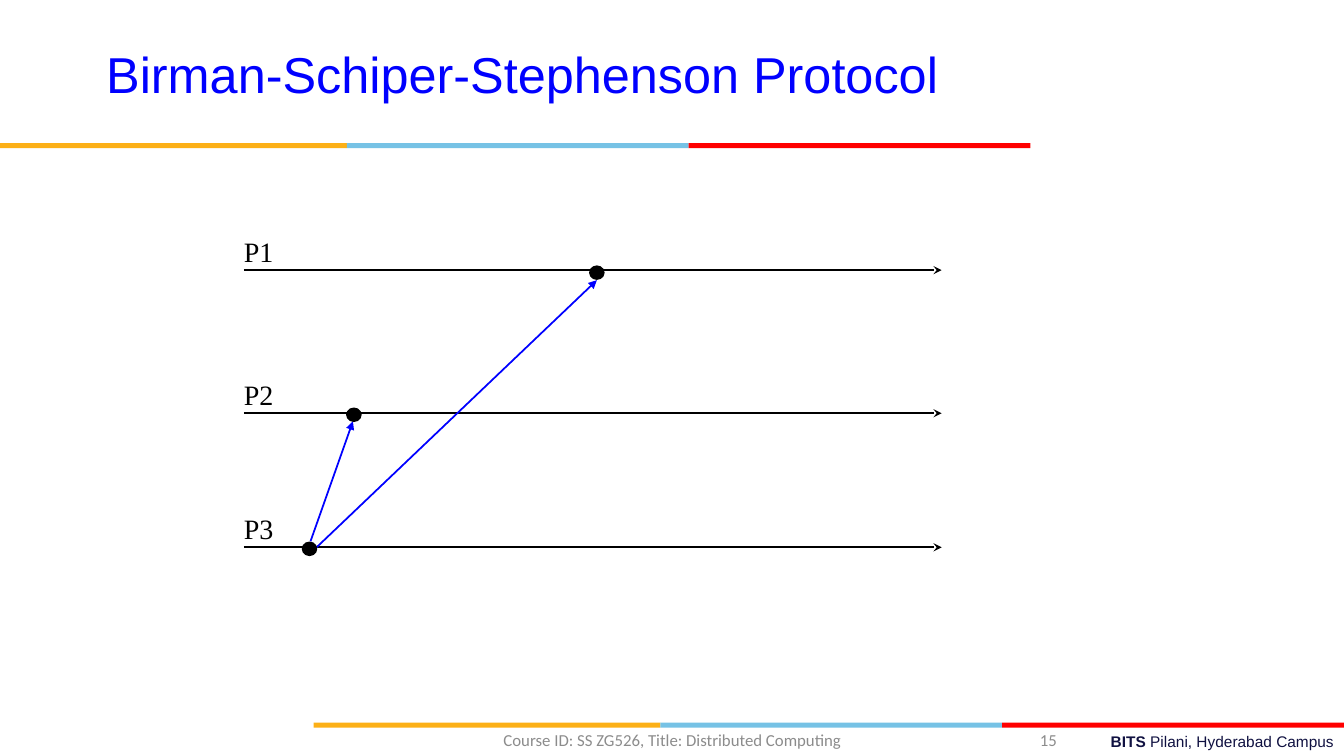
from dataclasses import dataclass

import pptx
import pptx.dml.color
import pptx.enum.shapes
import pptx.enum.text
import pptx.oxml.ns
import pptx.util
from lxml import etree

Inches = pptx.util.Inches
Pt = pptx.util.Pt
Align = pptx.enum.text.PP_ALIGN
Anchor = pptx.enum.text.MSO_ANCHOR
Shape = pptx.enum.shapes.MSO_SHAPE
qn = pptx.oxml.ns.qn


@dataclass(frozen=True)
class Theme:
    gold: str = "FCB017"
    sky: str = "76C2E5"
    red: str = "FF0000"
    blue: str = "0000FF"
    black: str = "000000"
    navy: str = "101141"
    gray: str = "8C8C8C"
    title_size: int = 36
    label_size: int = 20
    footer_size: int = 12
    campus_size: int = 11
    heading_font: str = "Arial"
    label_font: str = "Times New Roman"
    footer_font: str = "Calibri"


THEME = Theme()
TIMELINE_START, TIMELINE_END = 2.42, 9.34
PROCESSES = {"P1": 2.68, "P2": 4.1, "P3": 5.43}
EVENTS = [(5.85, 2.64), (3.44, 4.05), (3, 5.38)]
MESSAGES = [((3.08, 5.37), (3.5, 4.18)), ((3.14, 5.43), (5.92, 2.78))]


def rgb(color):
    return pptx.dml.color.RGBColor.from_string(color)


def add_shape(slide, kind, left, top, width, height, color):
    shape = slide.shapes.add_shape(
        kind, Inches(left), Inches(top), Inches(width), Inches(height))
    shape.shadow.inherit = False
    shape.fill.solid()
    shape.fill.fore_color.rgb = rgb(color)
    shape.line.fill.background()
    return shape


def add_stripe(slide, left, top):
    for width, color in ((3.44, THEME.gold), (3.39, THEME.sky), (3.39, THEME.red)):
        add_shape(slide, Shape.RECTANGLE, left, top, width, 0.05, color)
        left += width


def add_event(slide, left, top):
    event = add_shape(slide, Shape.OVAL, left, top, 0.14, 0.13, THEME.black)
    event.line.color.rgb = rgb(THEME.black)
    event.line.width = Pt(1)


def add_arrow(slide, start, end, color, width, head):
    arrow = slide.shapes.add_connector(
        pptx.enum.shapes.MSO_CONNECTOR.STRAIGHT,
        Inches(start[0]), Inches(start[1]), Inches(end[0]), Inches(end[1]))
    arrow.line.color.rgb = rgb(color)
    arrow.line.width = Pt(width)
    etree.SubElement(arrow.line._get_or_add_ln(), qn("a:tailEnd"), type=head)
    etree.SubElement(arrow._element.spPr, qn("a:effectLst"))


def add_text(slide, box, runs, size, font, color, align=Align.LEFT,
             anchor=Anchor.TOP):
    text_box = slide.shapes.add_textbox(*(Inches(length) for length in box))
    frame = text_box.text_frame
    frame.word_wrap = True
    frame.vertical_anchor = anchor
    paragraph = frame.paragraphs[0]
    paragraph.alignment = align
    paragraph.font.size = Pt(size)
    paragraph.font.name = font
    paragraph.font.color.rgb = rgb(color)
    for text, bold in runs:
        run = paragraph.add_run()
        run.text = text
        if bold:
            run.font.bold = True


def add_process(slide, name, height):
    add_arrow(slide, (TIMELINE_START, height), (TIMELINE_END, height),
              THEME.black, 1.5, "stealth")
    add_text(slide, (TIMELINE_START - 0.1, height - 0.4, 0.52, 0.43),
             [(name, False)], THEME.label_size, THEME.label_font, THEME.black)


def add_footer(slide, box, text, align):
    add_text(slide, box, [(text, False)], THEME.footer_size, THEME.footer_font,
             THEME.gray, align, Anchor.MIDDLE)


def main():
    presentation = pptx.Presentation()
    presentation.slide_width = Inches(13.33)
    presentation.slide_height = Inches(7.5)
    slide = presentation.slides.add_slide(presentation.slide_layouts[6])

    add_stripe(slide, 0, 1.42)
    add_stripe(slide, 3.11, 7.17)
    add_text(slide, (4.78, 7.21, 8.55, 0.29),
             [("BITS ", True), ("Pilani, Hyderabad Campus", False)],
             THEME.campus_size, THEME.heading_font, THEME.navy, Align.RIGHT)
    add_text(slide, (0.57, 0.1, 9.22, 1.25),
             [("Birman-Schiper-Stephenson Protocol", False)],
             THEME.title_size, THEME.heading_font, THEME.blue,
             Align.CENTER, Anchor.MIDDLE)

    for name, height in PROCESSES.items():
        add_process(slide, name, height)
    for start, end in MESSAGES:
        add_arrow(slide, start, end, THEME.blue, 1.25, "triangle")
    for left, top in EVENTS:
        add_event(slide, left, top)

    add_footer(slide, (4.42, 7.14, 4.5, 0.4),
               "Course ID: SS ZG526, Title: Distributed Computing", Align.CENTER)
    add_footer(slide, (9.22, 7.14, 1.36, 0.4), "15", Align.RIGHT)
    presentation.save("out.pptx")


if __name__ == "__main__":
    main()
